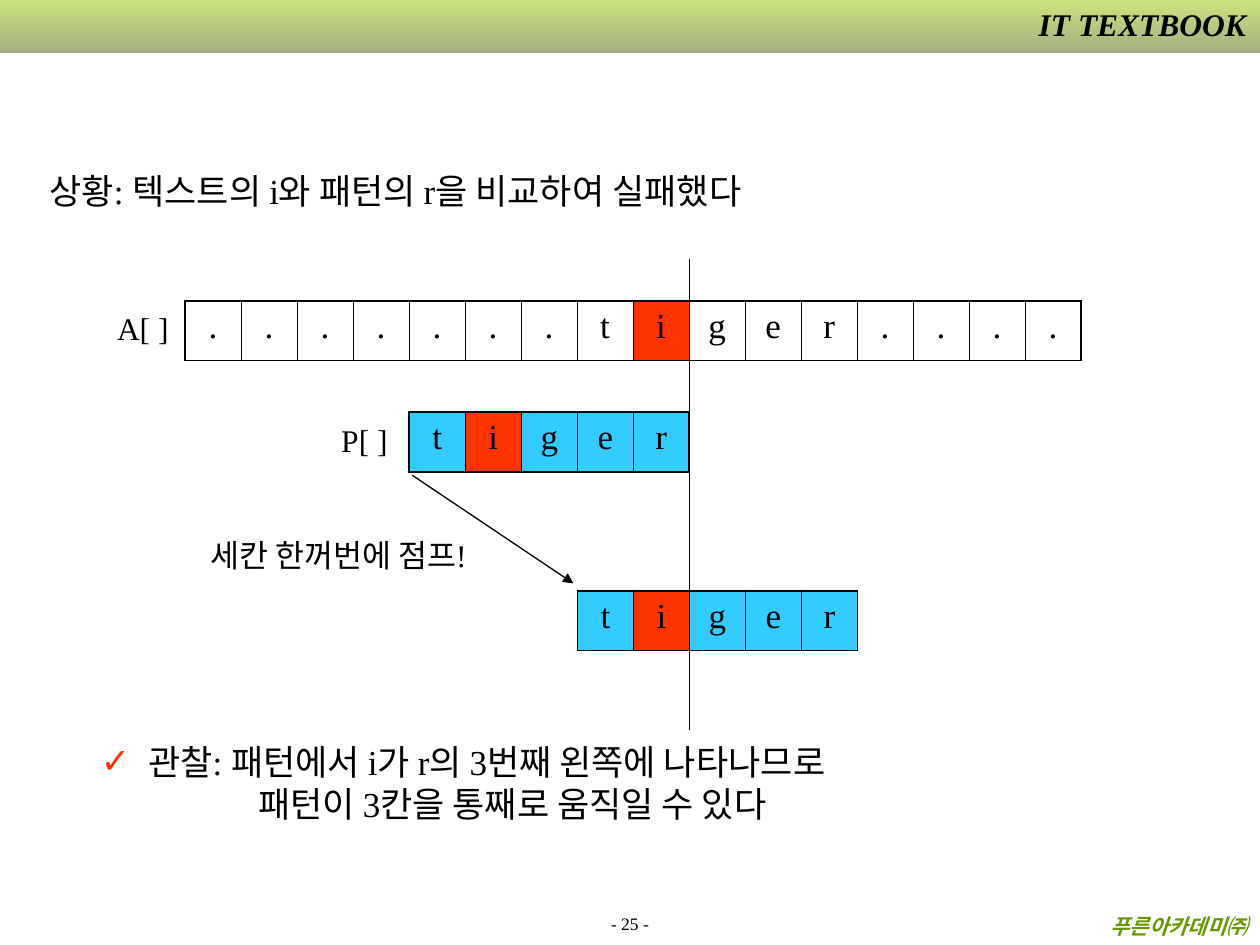
from pptx import Presentation
from pptx.dml.color import RGBColor
from pptx.enum.shapes import MSO_CONNECTOR, MSO_SHAPE
from pptx.enum.text import MSO_ANCHOR, MSO_AUTO_SIZE, PP_ALIGN
from pptx.oxml import parse_xml
from pptx.oxml.ns import nsdecls, qn
from pptx.util import Cm, Pt

LEFT, CENTER, RIGHT = PP_ALIGN.LEFT, PP_ALIGN.CENTER, PP_ALIGN.RIGHT
TOP, BOTTOM = MSO_ANCHOR.TOP, MSO_ANCHOR.BOTTOM
NO_AUTOFIT = MSO_AUTO_SIZE.NONE
STRAIGHT = MSO_CONNECTOR.STRAIGHT
RECTANGLE = MSO_SHAPE.RECTANGLE

BLACK = RGBColor(0x00, 0x00, 0x00)
LIME = RGBColor(0x99, 0xCC, 0x00)
OLIVE = RGBColor(0x47, 0x5E, 0x00)
GREEN = RGBColor(0x66, 0x99, 0x00)
RED = RGBColor(0xFF, 0x33, 0x00)
SKY = RGBColor(0x33, 0xCC, 0xFF)

FONT = "Times New Roman"
SLIDE_WIDTH, SLIDE_HEIGHT = 25.4, 19.05
CELL_WIDTH, CELL_HEIGHT = 1.13, 1.2
THIN, THICK = Pt(0.45), Pt(1.08)
HANGING = Cm(0.95)


def place(shape, left, top, width, height):
    """Move and size a shape, in centimetres."""
    shape.left, shape.top = Cm(left), Cm(top)
    shape.width, shape.height = Cm(width), Cm(height)


def add_run(paragraph, text, size, color=BLACK, strong=False):
    """Add one formatted run to a paragraph."""
    run = paragraph.add_run()
    run.text = text
    run.font.name = FONT
    run.font.size = Pt(size)
    run.font.color.rgb = color
    run.font.bold = run.font.italic = strong
    return run


def add_label(slide, box, text, size=18, color=BLACK, strong=False,
              alignment=LEFT, anchor=TOP):
    """Add a one-line text box and return its run."""
    shape = slide.shapes.add_textbox(*map(Cm, box))
    frame = shape.text_frame
    frame.word_wrap = True
    frame.vertical_anchor = anchor
    paragraph = frame.paragraphs[0]
    paragraph.alignment = alignment
    return add_run(paragraph, text, size, color, strong)


def add_line(slide, start, end, arrow=False):
    """Add a thin black line, with an arrowhead at its end if asked."""
    connector = slide.shapes.add_connector(STRAIGHT, *map(Cm, start + end))
    connector.line.color.rgb = BLACK
    connector.line.width = Pt(0.75)
    if arrow:
        connector.line._get_or_add_ln().append(
            parse_xml(f'<a:tailEnd {nsdecls("a")} type="triangle"/>'))
    connector.element.spPr.append(parse_xml(f'<a:effectLst {nsdecls("a")}/>'))


def add_header(slide, left, top, width, height):
    """Draw the gradient band with the series name at its right."""
    band = slide.shapes.add_shape(RECTANGLE, Cm(left), Cm(top), Cm(width), Cm(height))
    band.shadow.inherit = False
    band.line.fill.background()
    band.fill.gradient()
    band.fill.gradient_angle = 270
    for stop, color, position in zip(band.fill.gradient_stops, (LIME, OLIVE), (0, 1)):
        stop.color.rgb = color
        stop.position = position
    for color in band.element.spPr.iter(qn("a:srgbClr")):
        color.append(parse_xml(f'<a:alpha {nsdecls("a")} val="50000"/>'))
    run = add_label(slide, (left + width - 6.4, top - 0.02, 6.37, 1.02),
                    "IT TEXTBOOK", strong=True, alignment=RIGHT)
    run.font._element.find(qn("a:solidFill")).addnext(parse_xml(
        f'<a:effectLst {nsdecls("a")}><a:outerShdw dist="25400" dir="2700000">'
        '<a:srgbClr val="FFFFFF"/></a:outerShdw></a:effectLst>'))


def add_footer(slide, left, top, width, height):
    """Write the page number and the publisher name."""
    add_label(slide, (left, top + 0.1, width, height - 0.2), "- 25 -", 10,
              alignment=CENTER, anchor=BOTTOM)
    add_label(slide, (left, top, width, height), "푸른아카데미㈜", 12, GREEN,
              strong=True, alignment=RIGHT)


def format_cell(cell, letter, fill, is_first, is_last):
    """Set the borders, fill and letter of one array cell."""
    properties = cell._tc.get_or_add_tcPr()
    widths = {"lnL": THICK if is_first else THIN, "lnR": THICK if is_last else THIN,
              "lnT": THICK, "lnB": THICK}
    for side, width in widths.items():
        properties.append(parse_xml(
            f'<a:{side} {nsdecls("a")} w="{int(width)}"><a:solidFill>'
            f'<a:srgbClr val="{BLACK}"/></a:solidFill></a:{side}>'))
    if fill is None:
        cell.fill.background()
    else:
        cell.fill.solid()
        cell.fill.fore_color.rgb = fill
    paragraph = cell.text_frame.paragraphs[0]
    paragraph.alignment = CENTER
    paragraph.space_before = Pt(5)
    add_run(paragraph, letter, 20)


def add_array(slide, left, top, letters, fill=None):
    """Draw a row of letters as a table, with the letter i marked."""
    count = len(letters)
    table = slide.shapes.add_table(1, count, Cm(left), Cm(top),
                                   Cm(count * CELL_WIDTH), Cm(CELL_HEIGHT)).table
    table.first_row = table.horz_banding = False
    for index, letter in enumerate(letters):
        table.columns[index].width = Cm(CELL_WIDTH)
        format_cell(table.cell(0, index), letter, RED if letter == "i" else fill,
                    index == 0, index == count - 1)


def add_diagram(slide, left, top):
    """Draw the text, the pattern before and after its jump, and the lines."""
    pattern_left = left + 4 * CELL_WIDTH
    jumped_left = pattern_left + 3 * CELL_WIDTH
    compare_x = left + 9 * CELL_WIDTH
    pattern_top, jumped_top = top + 2.24, top + 5.84
    add_array(slide, left, top, ".......tiger....")
    add_array(slide, pattern_left, pattern_top, "tiger", SKY)
    add_array(slide, jumped_left, jumped_top, "tiger", SKY)
    add_line(slide, (pattern_left + 0.06, pattern_top + 1.27),
             (jumped_left - 0.08, jumped_top - 0.15), arrow=True)
    add_line(slide, (compare_x, top - 0.84), (compare_x, top + 8.64))
    add_label(slide, (left - 1.62, top + 0.03, 1.62, 1.02), "A[ ]")
    add_label(slide, (pattern_left - 1.62, pattern_top + 0.05, 1.68, 1.02), "P[ ]")
    add_label(slide, (left + 0.26, top + 4.62, 6.2, 1.02), "세칸 한꺼번에 점프!")


def format_statement(paragraph, text, margin, indent):
    """Format a paragraph of the title or list and write its text."""
    paragraph.alignment = LEFT
    paragraph.line_spacing = 0.8
    paragraph.space_before = Pt(5)
    properties = paragraph._p.get_or_add_pPr()
    properties.set("marL", str(int(margin)))
    properties.set("indent", str(int(indent)))
    add_run(paragraph, text, 20)
    return properties


def prepare_placeholder(shape, box):
    """Place a placeholder and return its top-anchored text frame."""
    place(shape, *box)
    frame = shape.text_frame
    frame.auto_size = NO_AUTOFIT
    frame.word_wrap = True
    frame.vertical_anchor = TOP
    return frame


def add_situation(slide, *box):
    """Write the situation in the title placeholder."""
    frame = prepare_placeholder(slide.shapes.title, box)
    format_statement(frame.paragraphs[0], "상황: 텍스트의 i와 패턴의 r을 비교하여 실패했다",
                     HANGING, -HANGING)


def add_observation(slide, *box):
    """Write the observation in the body placeholder."""
    frame = prepare_placeholder(slide.placeholders[1], box)
    properties = format_statement(frame.paragraphs[0],
                                  "관찰: 패턴에서 i가 r의 3번째 왼쪽에 나타나므로",
                                  HANGING, -HANGING)
    properties.append(parse_xml(
        f'<a:buClr {nsdecls("a")}><a:srgbClr val="{RED}"/></a:buClr>'))
    properties.append(parse_xml(f'<a:buChar {nsdecls("a")} char="✓"/>'))
    properties = format_statement(frame.add_paragraph(),
                                  "패턴이 3칸을 통째로 움직일 수 있다", Cm(3.17), 0)
    properties.append(parse_xml(f'<a:buNone {nsdecls("a")}/>'))


def main():
    """Build and save the presentation."""
    presentation = Presentation()
    presentation.slide_width, presentation.slide_height = Cm(SLIDE_WIDTH), Cm(SLIDE_HEIGHT)
    slide = presentation.slides.add_slide(presentation.slide_layouts[1])
    add_header(slide, 0, 0, SLIDE_WIDTH, 1.07)
    add_footer(slide, 0, 18.29, SLIDE_WIDTH, 0.76)
    add_situation(slide, 0.74, 3.45, 17.58, 0.94)
    add_diagram(slide, 3.73, 6.07)
    add_observation(slide, 1.78, 14.96, 17.96, 1.8)
    presentation.save("out.pptx")


if __name__ == "__main__":
    main()
